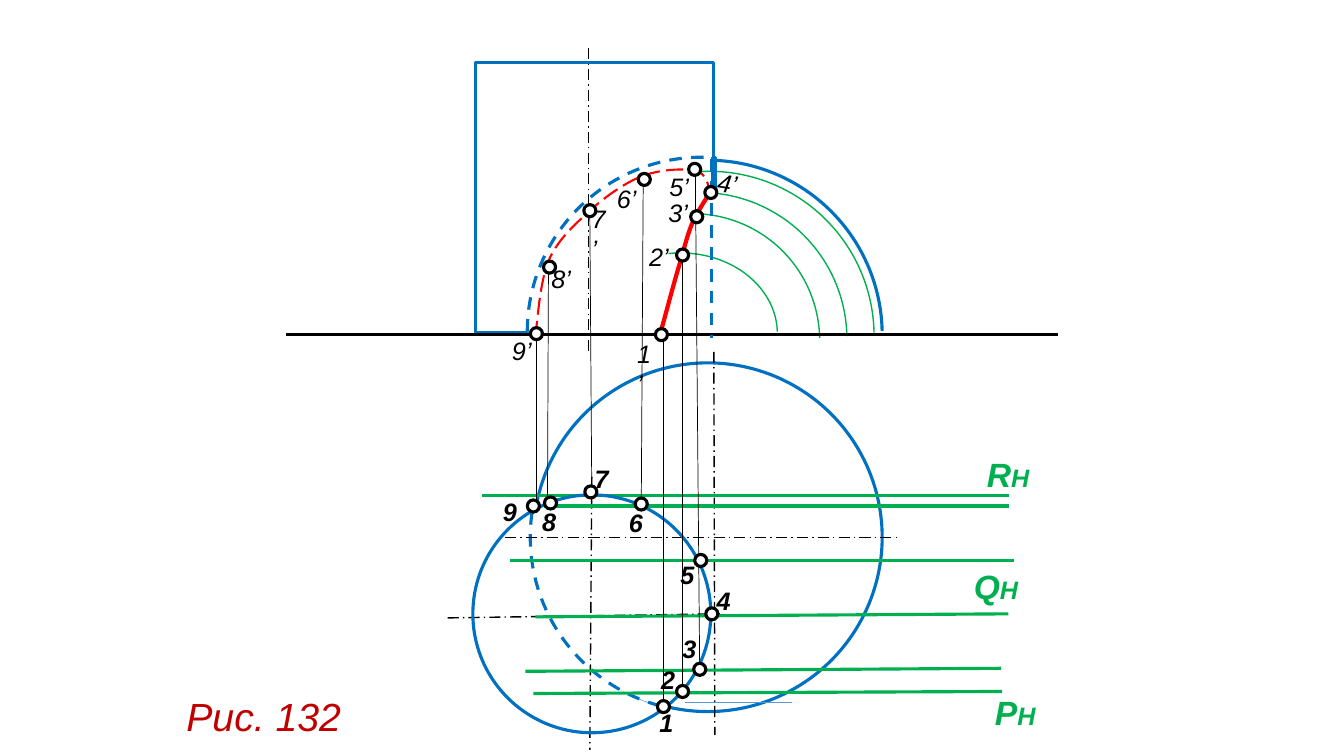
from lxml import etree
from pptx import Presentation
from pptx import util as u
from pptx.dml.color import RGBColor
from pptx.enum import dml, shapes, text
from pptx.oxml.ns import qn

PX = 9144  # EMU per px, 100 px to the inch
BLUE, GREEN, RED, BLACK, WHITE = "0070C0", "00B050", "FF0000", "000000", "FFFFFF"
CAPTION_RED, PALE_BLUE = "C00000", "5B9BD5"
DASH = dml.MSO_LINE.DASH
LONG_DASH = dml.MSO_LINE.LONG_DASH
AXIS_DASH = dml.MSO_LINE.LONG_DASH_DOT

# Sphere arcs and cutting arcs: box, start and end angle, colour, width, dash
ARCS = [
    ((523, 156, 346, 346), 180, 274.6, BLUE, 2.25, DASH),
    ((526, 360, 346, 346), 104.8, 191.7, BLUE, 2.25, DASH),
    ((540, 170, 327, 327), 262.5, 358.8, GREEN, 1, None),
    ((549, 191, 291, 291), 272.4, 358.8, GREEN, 1, None),
    ((561, 212, 252, 252), 272.4, 358.8, GREEN, 1, None),
    ((579, 251, 192, 160), 261.4, 358.8, GREEN, 1, None),
]

# Lines: x1, y1, x2, y2
AXES = [
    (501, 533, 893, 533), (444, 613, 714, 609), (587, 473, 585, 744),
    (584, 48, 584, 348), (708, 349, 709, 729),
]
PLANE_TRACES = [
    (994, 686, 529, 688), (993, 663, 521, 666), (1006, 556, 506, 556),
    (1000, 609, 531, 612), (1001, 492, 478, 492), (1001, 502, 540, 502),
]
PROJECTIONS = [
    (532, 328, 532, 502), (658, 332, 658, 702), (677, 253, 677, 687),
    (690, 211, 694, 666), (690, 168, 690, 216), (585, 215, 587, 492),
    (638, 173, 636, 505), (544, 264, 543, 498),
]

# Intersection curves: start point, then Bezier control points in threes
HIDDEN_CURVE = [
    (531, 335), (534, 308), (536, 280), (544, 259), (553, 238), (569, 224),
    (584, 210), (599, 196), (619, 182), (636, 175), (654, 168), (678, 167),
    (689, 169), (700, 172), (702, 181), (704, 190),
]
VISIBLE_CURVE = [
    (701, 196), (696, 204), (691, 212), (686, 223), (682, 233), (680, 241),
    (675, 259), (669, 278), (662, 306), (654, 334),
]

# Numbered points: centre, then left, top and width of the label
FRONT_POINTS = [
    ("1’", 656, 332, 622, 331, 35), ("2’", 677, 253, 634, 234, 40),
    ("3’", 691, 215, 653, 191, 42), ("4’", 705, 191, 702, 162, 40),
    ("5’", 689, 168, 654, 165, 48), ("6’", 639, 178, 602, 177, 40),
    ("7’", 585, 209, 577, 197, 38), ("8’", 545, 265, 537, 256, 40),
    ("9’", 532, 331, 498, 328, 40),
]
PLAN_POINTS = [
    ("1", 658, 701, 644, 697, 29), ("2", 677, 686, 646, 654, 34),
    ("3", 694, 664, 667, 623, 34), ("4", 706, 609, 701, 576, 34),
    ("5", 695, 556, 665, 550, 34), ("6", 636, 500, 614, 498, 34),
    ("7", 586, 488, 580, 455, 32), ("8", 546, 499, 528, 497, 34),
    ("9", 529, 502, 489, 487, 34),
]
PLANE_NAMES = [("P", 977, 676, 71), ("Q", 956, 551, 74), ("R", 969, 440, 74)]


def rgb(hex_colour):
    return RGBColor.from_string(hex_colour)


def emu(*lengths):
    return [length * PX for length in lengths]


def style_line(line, colour, width, dash=None):
    line.color.rgb = rgb(colour)
    line.width = u.Pt(width)
    if dash is not None:
        line.dash_style = dash


def add_outline(slide, kind, box, colour, width=2.25, dash=None, fill=WHITE):
    outline = slide.shapes.add_shape(kind, *emu(*box))
    outline.shadow.inherit = False
    if fill:
        outline.fill.solid()
        outline.fill.fore_color.rgb = rgb(fill)
    else:
        outline.fill.background()
    style_line(outline.line, colour, width, dash)
    return outline


def add_arc(slide, box, start, end, colour, width=2.25, dash=None):
    arc = add_outline(slide, shapes.MSO_SHAPE.ARC, box, colour, width, dash)
    # Adjustments count 100000 units, angles 60000 units per degree
    arc.adjustments[0] = start * 0.6
    arc.adjustments[1] = end * 0.6


def add_line(slide, ends, colour, width, dash=None):
    line = slide.shapes.add_connector(shapes.MSO_CONNECTOR.STRAIGHT, *emu(*ends))
    style_line(line.line, colour, width, dash)
    etree.SubElement(line._element.spPr, qn("a:effectLst"))


def bezier_points(controls, steps=12):
    for i in range(0, len(controls) - 1, 3):
        segment = controls[i:i + 4]
        for step in range(1, steps + 1):
            t = step / steps
            weights = ((1 - t) ** 3, 3 * t * (1 - t) ** 2, 3 * t * t * (1 - t), t ** 3)
            yield tuple(
                PX * sum(w * p[axis] for w, p in zip(weights, segment))
                for axis in (0, 1)
            )


def add_curve(slide, controls, width, dash=None):
    builder = slide.shapes.build_freeform(*emu(*controls[0]), scale=1.0)
    builder.add_line_segments(list(bezier_points(controls)), close=False)
    curve = builder.convert_to_shape()
    curve.shadow.inherit = False
    curve.fill.background()
    style_line(curve.line, RED, width, dash)


def add_text(slide, box, runs, colour=BLACK, wrap=False, rotation=0):
    """Add italic text; each run is (wording, size, bold)."""
    label = slide.shapes.add_textbox(*emu(*box))
    label.rotation = rotation
    frame = label.text_frame
    frame.word_wrap = wrap
    frame.auto_size = text.MSO_AUTO_SIZE.SHAPE_TO_FIT_TEXT
    for wording, size, bold in runs:
        run = frame.paragraphs[0].add_run()
        run.text = wording
        run.font.name = "Arial"
        run.font.size = u.Pt(size)
        run.font.bold = bold
        run.font.italic = True
        run.font.color.rgb = rgb(colour)


def add_point(slide, name, x, y, left, top, width, bold=False):
    add_outline(slide, shapes.MSO_SHAPE.OVAL, (x - 6, y - 6, 12, 12), BLACK)
    tilt = 8.5 if name == "4’" else 0
    add_text(slide, (left, top, width, 40), [(name, 18, bold)], rotation=tilt)


def main():
    deck = Presentation()
    deck.slide_width, deck.slide_height = emu(1333, 750)
    slide = deck.slides.add_slide(deck.slide_layouts[6])

    # Cylinder and sphere
    add_outline(slide, shapes.MSO_SHAPE.RECTANGLE, (472, 62, 236, 268), BLUE)
    add_arc(slide, (529, 159, 346, 346), 180.6, 358.8, BLUE)
    add_outline(slide, shapes.MSO_SHAPE.OVAL, (529, 360, 346, 346), BLUE)
    add_line(slide, (679, 697, 786, 697), PALE_BLUE, 0.5)
    for arc in ARCS:
        add_arc(slide, *arc)

    # Axes, plane traces and projection lines
    for axis in AXES:
        add_line(slide, axis, BLACK, 1, AXIS_DASH)
    add_line(slide, (1049, 332, 284, 332), BLACK, 2.25)
    for trace in PLANE_TRACES:
        add_line(slide, trace, GREEN, 2.25)
    add_line(slide, (706, 158, 706, 335), BLUE, 2.25, DASH)
    add_line(slide, (708, 156, 708, 187), BLUE, 4.5)
    add_curve(slide, HIDDEN_CURVE, 1.5, LONG_DASH)
    add_curve(slide, VISIBLE_CURVE, 3)
    add_outline(slide, shapes.MSO_SHAPE.OVAL, (469, 491, 236, 236), BLUE, fill=None)
    for projection in PROJECTIONS:
        add_line(slide, projection, BLACK, 0.5)

    # Numbered points
    for point in FRONT_POINTS:
        add_point(slide, *point)
    for point in PLAN_POINTS:
        add_point(slide, *point, bold=True)

    # Plane names and caption
    for letter, left, top, width in PLANE_NAMES:
        runs = [(letter, 24, True), ("H", 18, True), (" ", 28, False)]
        add_text(slide, (left, top, width, 57), runs, colour=GREEN, wrap=True)
    add_text(slide, (175, 682, 215, 57), [("Рис. 132", 28, False)],
             colour=CAPTION_RED, wrap=True)

    deck.save("out.pptx")


if __name__ == "__main__":
    main()
